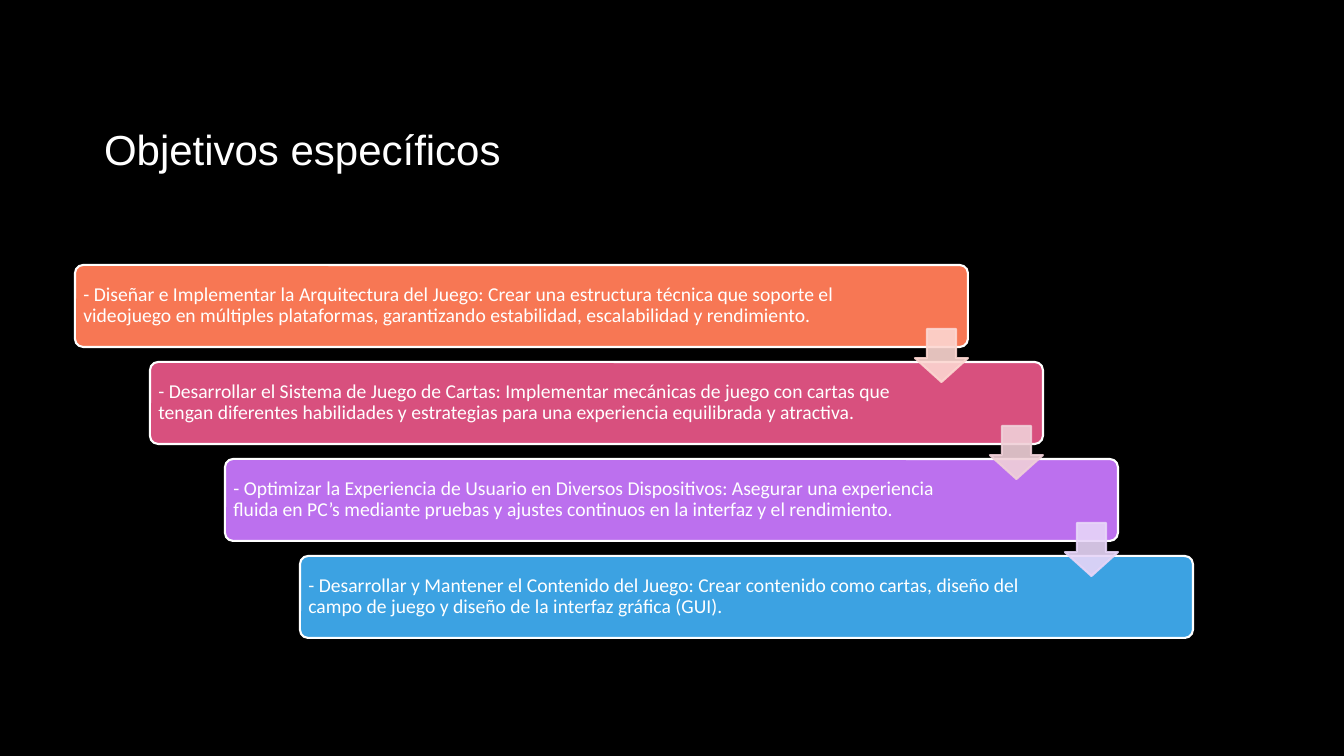
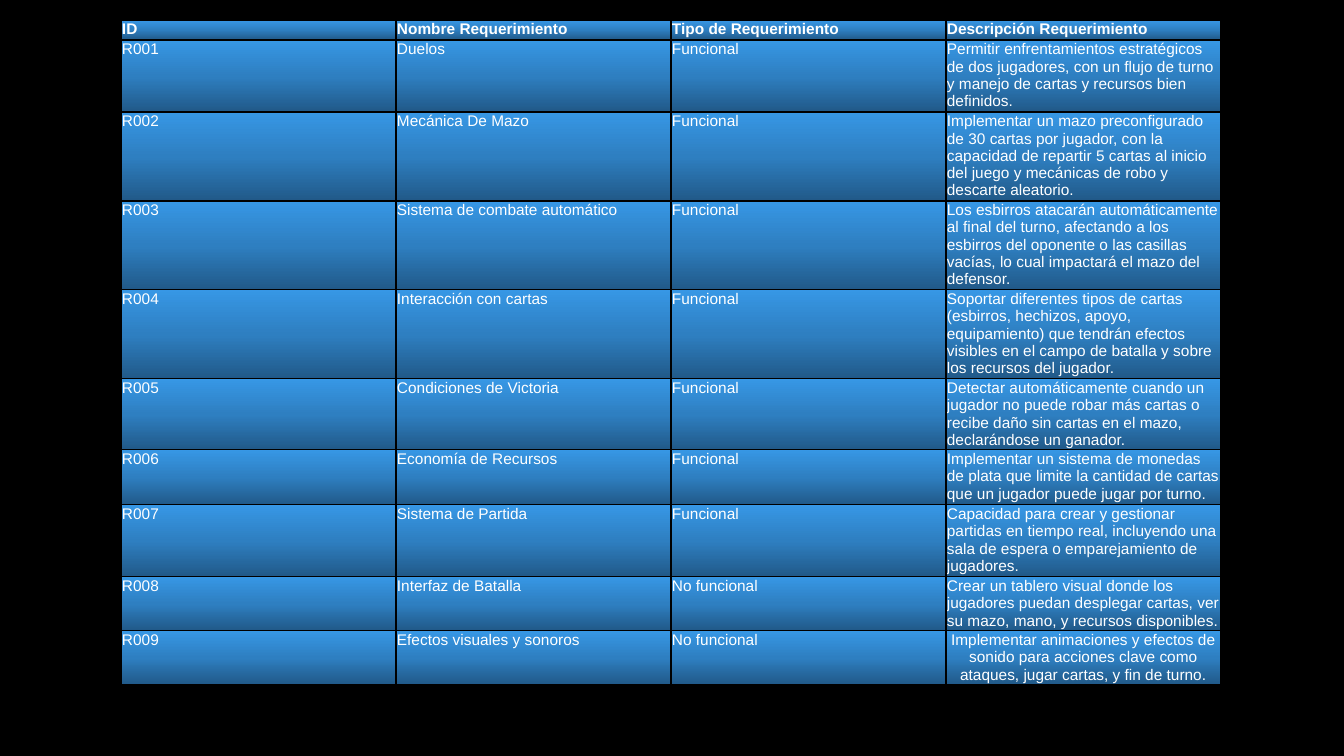
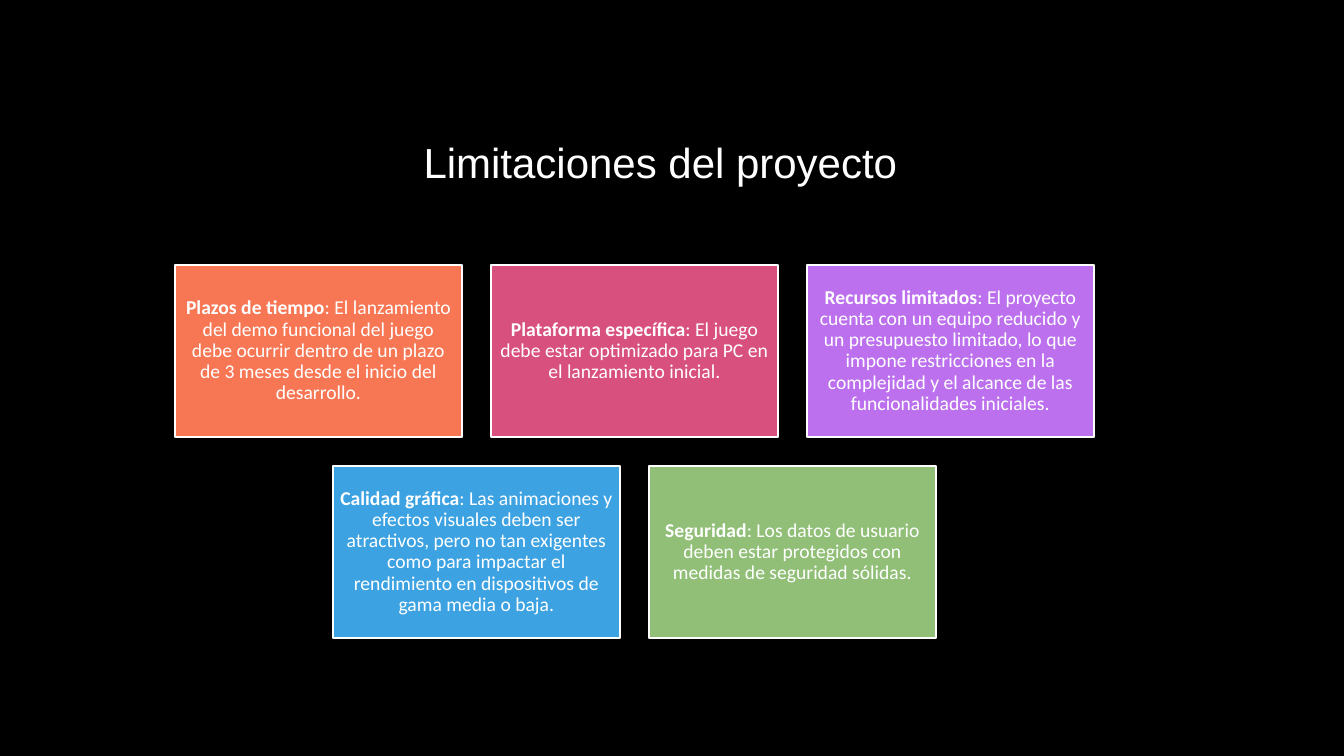
from pptx import Presentation
from pptx.dml.color import RGBColor
from pptx.enum.shapes import MSO_SHAPE
from pptx.enum.text import MSO_ANCHOR, MSO_AUTO_SIZE, PP_ALIGN
from pptx.oxml import parse_xml
from pptx.oxml.ns import nsdecls, qn
from pptx.util import Pt

SLIDE_WIDTH, SLIDE_HEIGHT = 1344, 756
SCALE = 12192000 / SLIDE_WIDTH


def px(length):
    return round(length * SCALE)


def colour(value):
    return RGBColor.from_string(value)


def set_values(target, values):
    for name, value in values.items():
        setattr(target, name, value)


class Deck:
    black, white = "000000", "FFFFFF"
    accents = ["F77754", "D8507E", "BC70EE", "3CA2E2", "91BF77"]
    arrow_tints = ["FCD6D1", "F0D0D8", "E7D5F8"]
    cell_stops = [(0, "215988"), (50, "2E7FC1"), (100, "3797E5")]
    title_font = {"name": "Arial", "size": Pt(30), "bold": False}
    body_font = {"name": "Calibri", "size": Pt(14)}
    table_font = {"name": "Arial", "size": Pt(11)}
    title_only, blank = 5, 6

    def __init__(self):
        self.presentation = Presentation()
        set_values(self.presentation, {"slide_width": px(SLIDE_WIDTH),
                                       "slide_height": px(SLIDE_HEIGHT)})
        fill = self.presentation.slide_master.background.fill
        fill.solid()
        fill.fore_color.rgb = colour(self.black)
        self.slide = None

    def new_slide(self, layout):
        self.slide = self.presentation.slides.add_slide(
            self.presentation.slide_layouts[layout])

    def add_text(self, paragraph, text, font, bold=False):
        run = paragraph.add_run()
        run.text = text
        set_values(run.font, {**font, "bold": bold})
        run.font.color.rgb = colour(self.white)

    def title(self, text, left, top, width):
        title = self.slide.shapes.title
        set_values(title, {"left": px(left), "top": px(top),
                           "width": px(width), "height": px(61)})
        set_values(title.text_frame, {"auto_size": MSO_AUTO_SIZE.NONE, "word_wrap": True,
                                      "vertical_anchor": MSO_ANCHOR.MIDDLE})
        paragraph = title.text_frame.paragraphs[0]
        paragraph.alignment = PP_ALIGN.CENTER
        self.add_text(paragraph, text, self.title_font)

    def shape(self, kind, box, fill, line, adjustments=()):
        shape = self.slide.shapes.add_shape(kind, *map(px, box))
        shape.shadow.inherit = False
        for index, value in enumerate(adjustments):
            shape.adjustments[index] = value
        shape.fill.solid()
        shape.fill.fore_color.rgb = colour(fill)
        shape.line.color.rgb = colour(line)
        shape.line.width = Pt(1.5)
        return shape

    def box(self, kind, box, fill, runs, alignment, right_inset=6, adjustments=()):
        shape = self.shape(kind, box, fill, self.white, adjustments)
        set_values(shape.text_frame, {
            "word_wrap": True, "vertical_anchor": MSO_ANCHOR.MIDDLE,
            "margin_left": px(6), "margin_top": px(6),
            "margin_right": px(right_inset), "margin_bottom": px(6)})
        paragraph = shape.text_frame.paragraphs[0]
        set_values(paragraph, {"alignment": alignment, "line_spacing": 0.9})
        for text, bold in runs:
            self.add_text(paragraph, text, self.body_font, bold)

    def arrow(self, left, top, tint):
        shape = self.shape(MSO_SHAPE.DOWN_ARROW, (left, top, 53, 53), tint, tint, (0.55, 0.45))
        for element in list(shape._element.spPr.iter(qn("a:srgbClr"))):
            element.append(parse_xml(f'<a:alpha {nsdecls("a")} val="90000"/>'))

    def decorate_cell(self, cell):
        properties = cell._tc.get_or_add_tcPr()
        for side in "LRTB":
            properties.append(parse_xml(
                f'<a:ln{side} {nsdecls("a")} w="12700"><a:solidFill>'
                f'<a:srgbClr val="{self.black}"/></a:solidFill></a:ln{side}>'))
        stops = "".join(f'<a:gs pos="{position * 1000}"><a:srgbClr val="{value}"/></a:gs>'
                        for position, value in self.cell_stops)
        properties.append(parse_xml(
            f'<a:gradFill {nsdecls("a")} rotWithShape="1"><a:gsLst>{stops}</a:gsLst>'
            '<a:lin ang="16200000" scaled="0"/></a:gradFill>'))

    def table(self, left, top, column_width, heights, rows):
        columns = len(rows[0])
        frame = self.slide.shapes.add_table(
            len(rows), columns, px(left), px(top),
            px(column_width * columns), px(sum(heights)))
        table = frame.table
        set_values(table, {"first_row": False, "horz_banding": False})
        for column in table.columns:
            column.width = px(column_width)
        margins = {f"margin_{side}": px(1) for side in ("left", "top", "right", "bottom")}
        for row_index, (height, texts) in enumerate(zip(heights, rows)):
            table.rows[row_index].height = px(height)
            for column_index, text in enumerate(texts):
                cell = table.cell(row_index, column_index)
                set_values(cell, margins)
                self.decorate_cell(cell)
                self.add_text(cell.text_frame.paragraphs[0], text, self.table_font,
                              bold=row_index == 0)
        return table


OBJECTIVES = [
    "- Diseñar e Implementar la Arquitectura del Juego: Crear una estructura técnica que soporte el videojuego en múltiples plataformas, garantizando estabilidad, escalabilidad y rendimiento.",
    "- Desarrollar el Sistema de Juego de Cartas: Implementar mecánicas de juego con cartas que tengan diferentes habilidades y estrategias para una experiencia equilibrada y atractiva.",
    "- Optimizar la Experiencia de Usuario en Diversos Dispositivos: Asegurar una experiencia fluida en PC’s mediante pruebas y ajustes continuos en la interfaz y el rendimiento.",
    "- Desarrollar y Mantener el Contenido del Juego: Crear contenido como cartas, diseño del campo de juego y diseño de la interfaz gráfica (GUI).",
]

REQUIREMENTS = [
    ("Duelos", "Funcional", "Permitir enfrentamientos estratégicos de dos jugadores, con un flujo de turno y manejo de cartas y recursos bien definidos."),
    ("Mecánica De Mazo", "Funcional", "Implementar un mazo preconfigurado de 30 cartas por jugador, con la capacidad de repartir 5 cartas al inicio del juego y mecánicas de robo y descarte aleatorio."),
    ("Sistema de combate automático", "Funcional", "Los esbirros atacarán automáticamente al final del turno, afectando a los esbirros del oponente o las casillas vacías, lo cual impactará el mazo del defensor."),
    ("Interacción con cartas", "Funcional", "Soportar diferentes tipos de cartas (esbirros, hechizos, apoyo, equipamiento) que tendrán efectos visibles en el campo de batalla y sobre los recursos del jugador."),
    ("Condiciones de Victoria", "Funcional", "Detectar automáticamente cuando un jugador no puede robar más cartas o recibe daño sin cartas en el mazo, declarándose un ganador."),
    ("Economía de Recursos", "Funcional", "Implementar un sistema de monedas de plata que limite la cantidad de cartas que un jugador puede jugar por turno."),
    ("Sistema de Partida", "Funcional", "Capacidad para crear y gestionar partidas en tiempo real, incluyendo una sala de espera o emparejamiento de jugadores."),
    ("Interfaz de Batalla", "No funcional", "Crear un tablero visual donde los jugadores puedan desplegar cartas, ver su mazo, mano, y recursos disponibles."),
    ("Efectos visuales y sonoros", "No funcional", "Implementar animaciones y efectos de sonido para acciones clave como ataques, jugar cartas, y fin de turno."),
]

LIMITATION_ROWS = [
    [
        ("Plazos de tiempo", ": El lanzamiento del demo funcional del juego debe ocurrir dentro de un plazo de 3 meses desde el inicio del desarrollo."),
        ("Plataforma específica", ": El juego debe estar optimizado para PC en el lanzamiento inicial."),
        ("Recursos limitados", ": El proyecto cuenta con un equipo reducido y un presupuesto limitado, lo que impone restricciones en la complejidad y el alcance de las funcionalidades iniciales."),
    ],
    [
        ("Calidad gráfica", ": Las animaciones y efectos visuales deben ser atractivos, pero no tan exigentes como para impactar el rendimiento en dispositivos de gama media o baja."),
        ("Seguridad", ": Los datos de usuario deben estar protegidos con medidas de seguridad sólidas."),
    ],
]


def objectives_slide(deck):
    deck.new_slide(deck.title_only)
    deck.title("Objetivos específicos", 12, 118, 581)
    corners = [(75 + 75 * index, 265 + 97 * index) for index in range(len(OBJECTIVES))]
    for index, ((left, top), text) in enumerate(zip(corners, OBJECTIVES)):
        deck.box(MSO_SHAPE.ROUNDED_RECTANGLE, (left, top, 893, 82), deck.accents[index],
                 [(text, False)], PP_ALIGN.LEFT, 134 if index else 96, (0.1,))
    for (left, top), tint in zip(corners, deck.arrow_tints):
        deck.arrow(left + 840, top + 64, tint)


def requirements_slide(deck):
    deck.new_slide(deck.blank)
    header = ("ID", "Nombre Requerimiento", "Tipo de Requerimiento", "Descripción Requerimiento")
    rows = [header] + [(f"R{number:03}", *texts)
                       for number, texts in enumerate(REQUIREMENTS, 1)]
    heights = [20, 72, 89, 89, 89, 71, 55, 72, 54, 54]
    table = deck.table(121, 20, 275, heights, rows)
    last_cell = table.cell(len(rows) - 1, len(header) - 1)
    last_cell.text_frame.paragraphs[0].alignment = PP_ALIGN.CENTER


def limitations_slide(deck):
    deck.new_slide(deck.title_only)
    deck.title("Limitaciones del proyecto", 0, 131, 1321)
    accents = iter(deck.accents)
    pitch, most = 316, len(LIMITATION_ROWS[0])
    for row_index, row in enumerate(LIMITATION_ROWS):
        row_left = 175 + (most - len(row)) * pitch // 2
        for column_index, (heading, text) in enumerate(row):
            card = (row_left + column_index * pitch, 265 + 201 * row_index, 287, 172)
            deck.box(MSO_SHAPE.RECTANGLE, card, next(accents),
                     [(heading, True), (text, False)], PP_ALIGN.CENTER)


def main():
    deck = Deck()
    objectives_slide(deck)
    requirements_slide(deck)
    limitations_slide(deck)
    deck.presentation.save("out.pptx")


if __name__ == "__main__":
    main()
